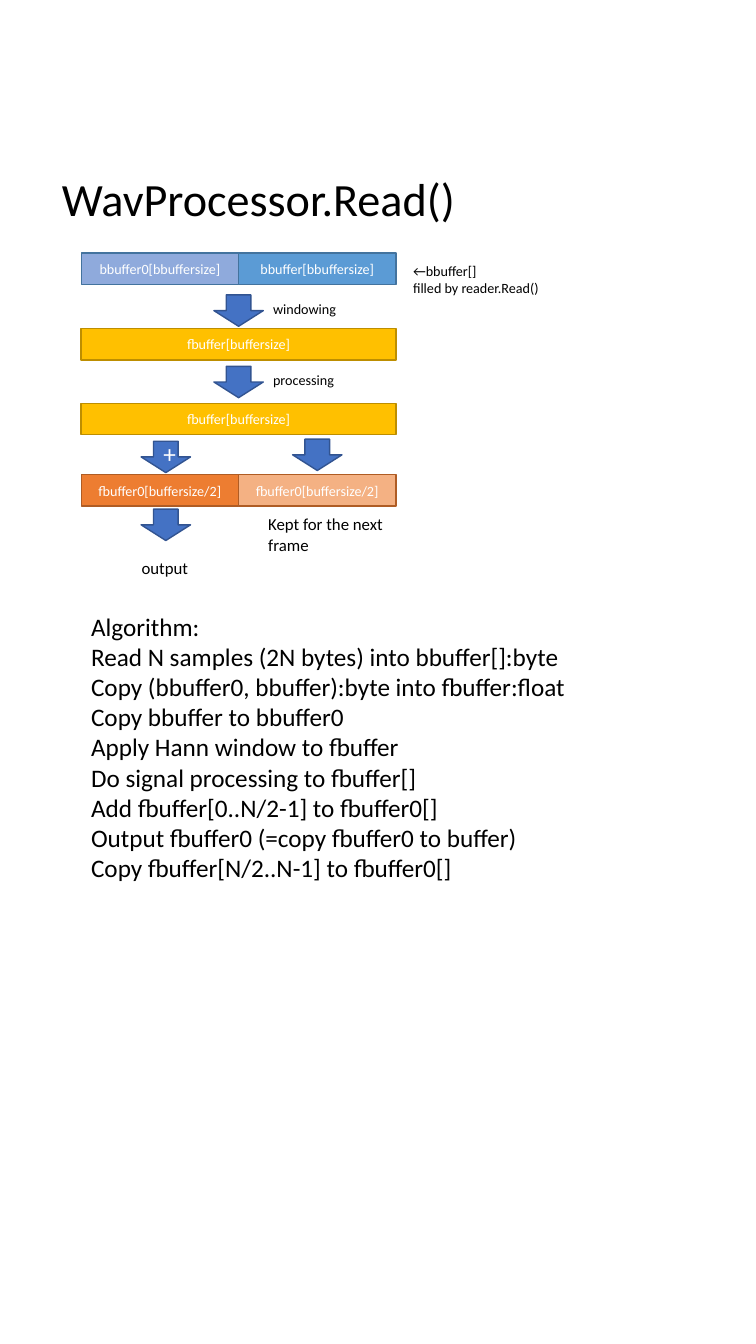
from pptx import Presentation
from pptx.dml.color import RGBColor
from pptx.enum.shapes import MSO_SHAPE
from pptx.enum.text import MSO_ANCHOR, PP_ALIGN
from pptx.util import Pt

RECTANGLE = MSO_SHAPE.RECTANGLE
DOWN_ARROW = MSO_SHAPE.DOWN_ARROW
TOP, MIDDLE = MSO_ANCHOR.TOP, MSO_ANCHOR.MIDDLE
LEFT, CENTER = PP_ALIGN.LEFT, PP_ALIGN.CENTER

FONT = "Calibri"
COLORS = {
    "text": "000000",
    "light_text": "FFFFFF",
    "old_bytes": "8FAADC",
    "new_bytes": "5B9BD5",
    "bytes_line": "43739E",
    "floats": "FFC000",
    "floats_line": "BD8E00",
    "output": "ED7D31",
    "kept": "F4B183",
    "output_line": "AF5C24",
    "arrow": "4472C4",
    "arrow_line": "325491",
}

HALF_WIDTH = 112.4
BAR_HEIGHT = 22.4
ARROW_WIDTH = 35.3

ALGORITHM = [
    "Algorithm:",
    "Read N samples (2N bytes) into bbuffer[]:byte",
    "Copy (bbuffer0, bbuffer):byte into fbuffer:float",
    "Copy bbuffer to bbuffer0",
    "Apply Hann window to fbuffer",
    "Do signal processing to fbuffer[]",
    "Add fbuffer[0..N/2-1] to fbuffer0[]",
    "Output fbuffer0 (=copy fbuffer0 to buffer)",
    "Copy fbuffer[N/2..N-1] to fbuffer0[]",
]


def color(name):
    return RGBColor.from_string(COLORS[name])


def write_text(shape, lines, size=10.1, ink="text", align=LEFT, anchor=TOP, spacing=1.0):
    frame = shape.text_frame
    frame.word_wrap = True
    frame.vertical_anchor = anchor
    for index, line in enumerate(lines):
        paragraph = frame.add_paragraph() if index else frame.paragraphs[0]
        paragraph.alignment = align
        paragraph.line_spacing = spacing
        run = paragraph.add_run()
        run.text = line
        run.font.name = FONT
        run.font.size = Pt(size)
        run.font.color.rgb = color(ink)


def add_label(slide, box, lines, **text_format):
    shape = slide.shapes.add_textbox(*map(Pt, box))
    write_text(shape, lines, **text_format)


def add_block(slide, kind, box, fill, line, text="", size=10.1):
    shape = slide.shapes.add_shape(kind, *map(Pt, box))
    shape.shadow.inherit = False
    shape.fill.solid()
    shape.fill.fore_color.rgb = color(fill)
    shape.line.color.rgb = color(line)
    shape.line.width = Pt(1)
    if text:
        write_text(shape, [text], size=size, ink="light_text", align=CENTER, anchor=MIDDLE)


def add_title(slide, box):
    add_label(slide, box, ["WavProcessor.Read()"], size=33, anchor=MIDDLE, spacing=0.9)


def add_buffer_diagram(slide, box):
    left, top, width, height = box
    bars = [
        (0, 0, 1, "old_bytes", "bytes_line", "bbuffer0[bbuffersize]"),
        (1, 0, 1, "new_bytes", "bytes_line", "bbuffer[bbuffersize]"),
        (0, 54, 2, "floats", "floats_line", "fbuffer[buffersize]"),
        (0, 107.5, 2, "floats", "floats_line", "fbuffer[buffersize]"),
        (0, 158.4, 1, "output", "output_line", "fbuffer0[buffersize/2]"),
        (1, 158.4, 1, "kept", "output_line", "fbuffer0[buffersize/2]"),
    ]
    for column, y, span, fill, line, text in bars:
        bar = (left + column * HALF_WIDTH, top + y, span * HALF_WIDTH, BAR_HEIGHT)
        add_block(slide, RECTANGLE, bar, fill, line, text)

    arrows = [
        (94.8, 30, ""),
        (94.8, 81, ""),
        (42.8, 134.5, "+"),
        (151, 133, ""),
        (42.8, 183, ""),
    ]
    for x, y, text in arrows:
        arrow = (left + x, top + y, ARROW_WIDTH, BAR_HEIGHT)
        add_block(slide, DOWN_ARROW, arrow, "arrow", "arrow_line", text, size=18)

    labels = [
        (230, 3, 124, 32, ["←bbuffer[]", "filled by reader.Read()"], 10.1),
        (130, 30, 112, 20, ["windowing"], 10.1),
        (130, 81, 60, 20, ["processing"], 10.1),
        (126.5, 183, 98, 36, ["Kept for the next frame"], 12),
        (36, 214, 49, 22, ["output"], 12),
    ]
    for x, y, label_width, label_height, lines, size in labels:
        label = (left + x, top + y, label_width, label_height)
        add_label(slide, label, lines, size=size)


def add_algorithm(slide, box):
    add_label(slide, box, ALGORITHM, size=18)


def main():
    presentation = Presentation()
    presentation.slide_width = Pt(540)
    presentation.slide_height = Pt(960)
    slide = presentation.slides.add_slide(presentation.slide_layouts[6])
    add_title(slide, (37.2, 51, 466, 186))
    add_buffer_diagram(slide, (58, 180.7, 354, 236))
    add_algorithm(slide, (58, 432.8, 437, 225))
    presentation.save("out.pptx")


if __name__ == "__main__":
    main()
